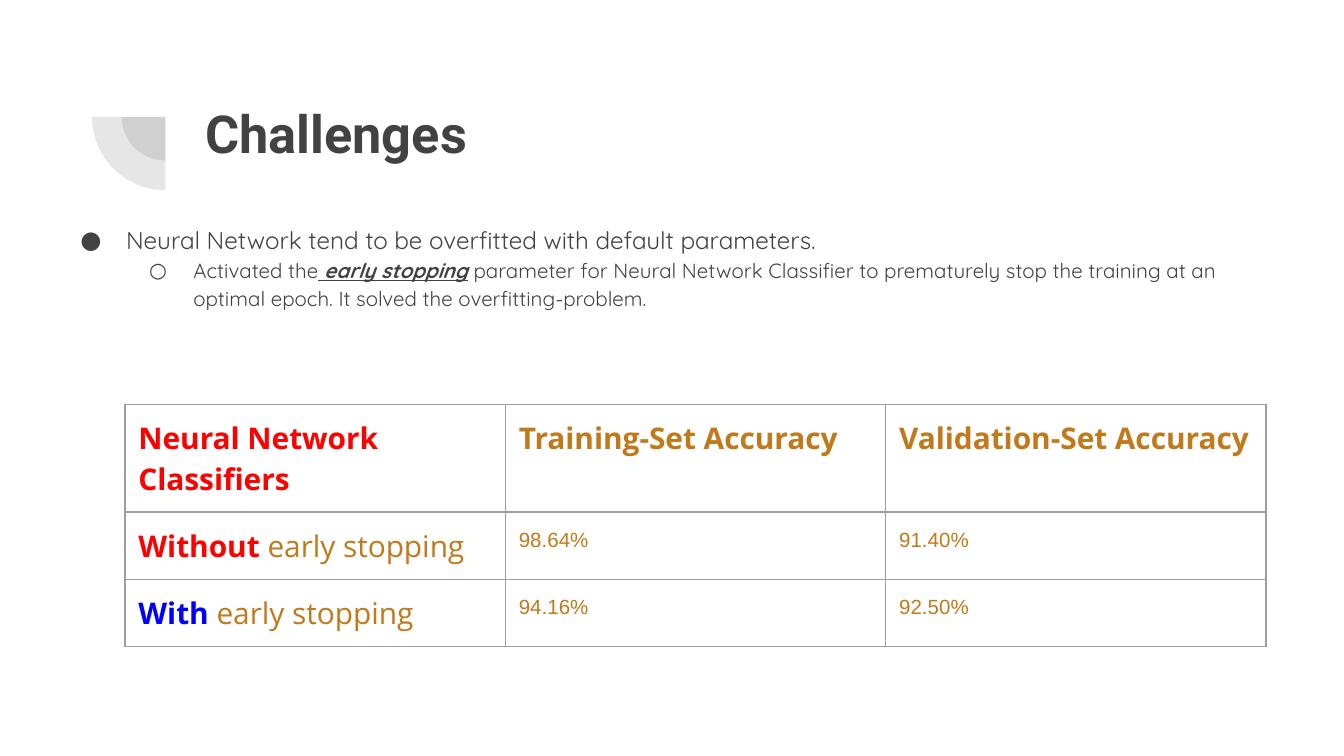
from lxml import etree
from pptx import Presentation
from pptx.dml.color import RGBColor
from pptx.enum.shapes import MSO_SHAPE
from pptx.oxml.ns import qn
from pptx.util import Inches, Pt

PIE = MSO_SHAPE.PIE
GRAY = RGBColor(0x42, 0x42, 0x42)
RED = RGBColor(0xFF, 0x00, 0x00)
BLUE = RGBColor(0x00, 0x00, 0xFF)
OCHRE = RGBColor(0xC0, 0x79, 0x1B)
BORDER = RGBColor(0x9E, 0x9E, 0x9E)

SLIDE_WIDTH = 10
SLIDE_HEIGHT = SLIDE_WIDTH * 9 / 16

TITLE = "Challenges"
# Each bullet: mark, level, left indent, hanging indent, size, spans (text, emphasised)
BULLETS = [
    ("●", 0, 0.5, -0.34, 13,
     [("Neural Network tend to be overfitted with default parameters.", False)]),
    ("○", 1, 1.0, -0.33, 11,
     [("Activated the", False),
      (" early stopping", True),
      (" parameter for Neural Network Classifier to prematurely stop the training"
       " at an optimal epoch. It solved the overfitting-problem.", False)]),
]
# Each label cell: spans (text, colour, bold)
HEADERS = [
    [("Neural Network Classifiers", RED, True)],
    [("Training-Set Accuracy", OCHRE, True)],
    [("Validation-Set Accuracy", OCHRE, True)],
]
RESULTS = [
    ([("Without ", RED, True), ("early stopping", OCHRE, False)], ["98.64%", "91.40%"]),
    ([("With ", BLUE, True), ("early stopping", OCHRE, False)], ["94.16%", "92.50%"]),
]
COLUMN_WIDTH = 2.83
ROW_HEIGHTS = [0.8, 0.5, 0.5]
PIE_CENTER = (1.23, 0.87)
PIE_DIAMETERS = [0.65, 1.09]


def add_span(para, text, size, font, color, bold=False):
    span = para.add_run()
    span.text = text
    span.font.size = Pt(size)
    span.font.name = font
    span.font.color.rgb = color
    span.font.bold = bold
    return span


def add_box(slide, left, top, width, height):
    box = slide.shapes.add_textbox(*map(Inches, (left, top, width, height)))
    frame = box.text_frame
    frame.word_wrap = True
    frame.margin_left = frame.margin_right = Inches(0.1)
    frame.margin_top = frame.margin_bottom = Inches(0.1)
    return frame


def add_quarter(slide, diameter):
    """Draw a translucent lower-left quarter disc around the shared centre."""
    left, top = (middle - diameter / 2 for middle in PIE_CENTER)
    quarter = slide.shapes.add_shape(
        PIE, *map(Inches, (left, top, diameter, diameter)))
    quarter.adjustments[0], quarter.adjustments[1] = 108, 162
    quarter.rotation = 270
    quarter.shadow.inherit = False
    quarter.line.fill.background()
    quarter.fill.solid()
    quarter.fill.fore_color.rgb = GRAY
    color = quarter.fill._xPr.find(".//" + qn("a:srgbClr"))
    etree.SubElement(color, qn("a:alpha"), val="13000")


def set_bullet(para, mark, indent, hanging, size):
    properties = para._p.get_or_add_pPr()
    properties.set("marL", str(Inches(indent)))
    properties.set("indent", str(Inches(hanging)))
    color = etree.SubElement(properties, qn("a:buClr"))
    etree.SubElement(color, qn("a:srgbClr"), val=str(GRAY))
    etree.SubElement(properties, qn("a:buSzPts"), val=str(size * 100))
    etree.SubElement(properties, qn("a:buFont"), typeface="Quicksand")
    etree.SubElement(properties, qn("a:buChar"), char=mark)


def style_cell(cell):
    cell.margin_left = cell.margin_right = Inches(0.1)
    cell.margin_top = cell.margin_bottom = Inches(0.1)
    properties = cell._tc.get_or_add_tcPr()
    for side in ("lnL", "lnR", "lnT", "lnB"):
        line = etree.SubElement(properties, qn("a:" + side), w=str(Pt(0.75)))
        fill = etree.SubElement(line, qn("a:solidFill"))
        etree.SubElement(fill, qn("a:srgbClr"), val=str(BORDER))
    cell.fill.background()


def fill_label(cell, spans):
    for text, color, bold in spans:
        add_span(cell.text_frame.paragraphs[0], text, 16, "Open Sans", color, bold)


def fill_value(cell, text):
    para = cell.text_frame.paragraphs[0]
    para.line_spacing = 1.15
    add_span(para, text, 11, "Arial", OCHRE)


def add_results(slide):
    columns = len(HEADERS)
    frame = slide.shapes.add_table(
        len(ROW_HEIGHTS), columns, Inches(0.93), Inches(3.01),
        Inches(COLUMN_WIDTH * columns), Inches(sum(ROW_HEIGHTS)))
    table = frame.table
    table.first_row = table.horz_banding = False
    for column in table.columns:
        column.width = Inches(COLUMN_WIDTH)
    for row, height in zip(table.rows, ROW_HEIGHTS):
        row.height = Inches(height)
    for cell in table.iter_cells():
        style_cell(cell)
    for column, spans in enumerate(HEADERS):
        fill_label(table.cell(0, column), spans)
    for row, (label, values) in enumerate(RESULTS, start=1):
        fill_label(table.cell(row, 0), label)
        for column, value in enumerate(values, start=1):
            fill_value(table.cell(row, column), value)


def main():
    deck = Presentation()
    deck.slide_width = Inches(SLIDE_WIDTH)
    deck.slide_height = Inches(SLIDE_HEIGHT)
    slide = deck.slides.add_slide(deck.slide_layouts[6])

    for diameter in PIE_DIAMETERS:
        add_quarter(slide, diameter)

    title = add_box(slide, 1.43, 0.65, 7.69, 1.09)
    add_span(title.paragraphs[0], TITLE, 28, "Roboto", GRAY, bold=True)

    body = add_box(slide, 0.34, 1.54, 9.32, 3.67)
    for number, (mark, level, indent, hanging, size, spans) in enumerate(BULLETS):
        para = body.add_paragraph() if number else body.paragraphs[0]
        para.level = level
        para.line_spacing = 1.15
        set_bullet(para, mark, indent, hanging, size)
        for text, emphasised in spans:
            span = add_span(para, text, size, "Quicksand", GRAY, emphasised)
            span.font.italic = span.font.underline = emphasised

    add_results(slide)
    deck.save("out.pptx")


if __name__ == "__main__":
    main()
